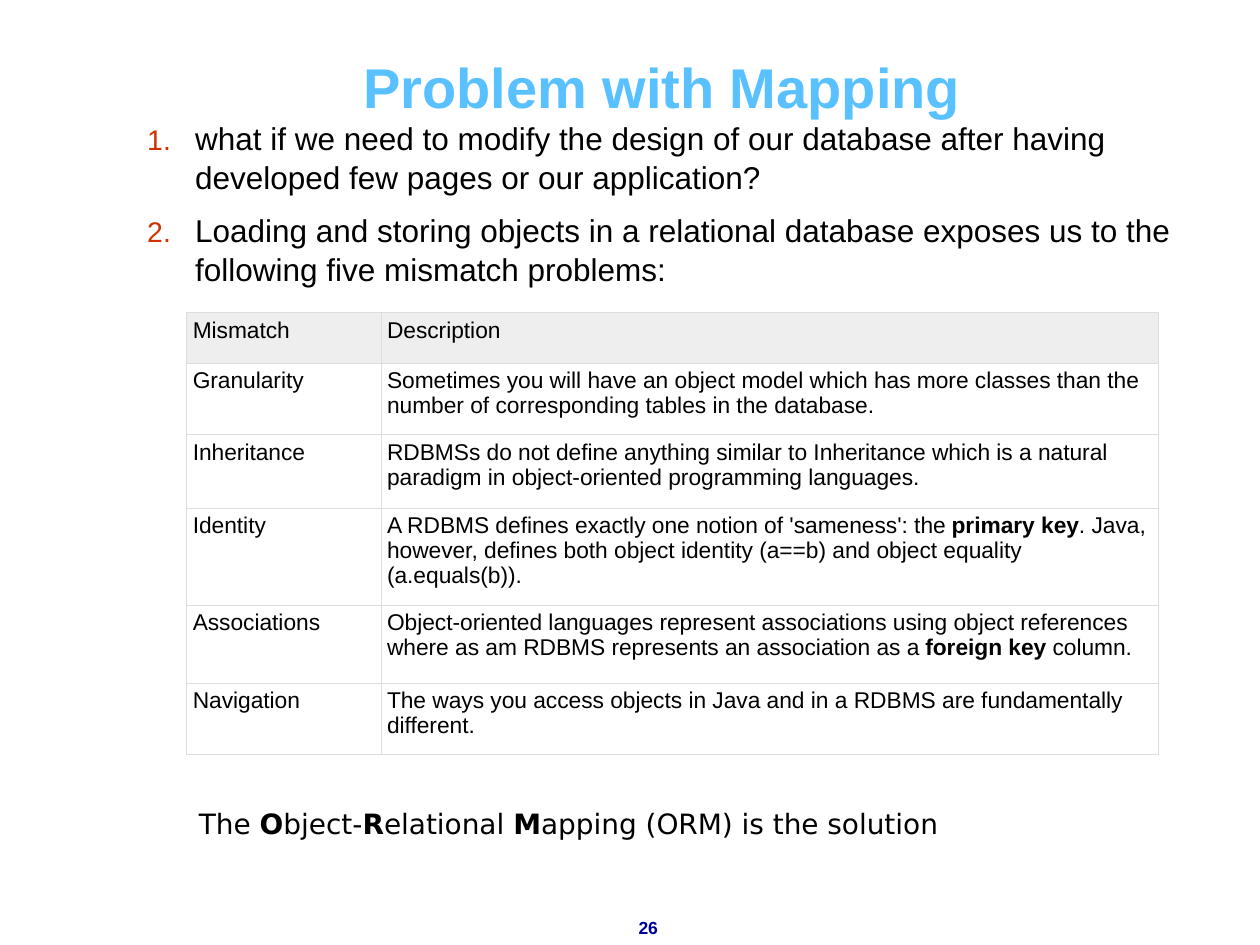
from lxml import etree
from pptx import Presentation
from pptx.dml.color import RGBColor
from pptx.enum.text import MSO_ANCHOR, PP_ALIGN
from pptx.oxml.ns import qn
from pptx.util import Inches, Pt

CENTER, LEFT = PP_ALIGN.CENTER, PP_ALIGN.LEFT
TOP, BOTTOM = MSO_ANCHOR.TOP, MSO_ANCHOR.BOTTOM

TITLE = "Problem with Mapping"
QUESTIONS = [
    "what if we need to modify the design of our database after having developed few pages or our application?",
    "Loading and storing objects in a relational database exposes us to the following five mismatch problems:",
]
MISMATCHES = [
    ("Mismatch", "Description"),
    ("Granularity", "Sometimes you will have an object model which has more classes than the number of corresponding tables in the database."),
    ("Inheritance", "RDBMSs do not define anything similar to Inheritance which is a natural paradigm in object-oriented programming languages."),
    ("Identity", "A RDBMS defines exactly one notion of 'sameness': the **primary key**. Java, however, defines both object identity (a==b) and object equality (a.equals(b))."),
    ("Associations", "Object-oriented languages represent associations using object references where as am RDBMS represents an association as a **foreign key** column."),
    ("Navigation", "The ways you access objects in Java and in a RDBMS are fundamentally different."),
]
SOLUTION = "The **O**bject-**R**elational **M**apping (ORM) is the solution"
PAGE_NUMBER = "26"

COLORS = {
    "title": "59C1FF",
    "text": "000000",
    "number": "CC3300",
    "page": "000099",
    "header": "EEEEEE",
    "border": "DDDDDD",
}
WIDTH, HEIGHT = Inches(10), Inches(7.5)
AREAS = {
    "title": (8.4, 1.73, 88.3, 11.6),
    "questions": (10.7, 11.87, 83.8, 71.47),
    "table": (14.8, 33.07, 77.1, 46.8),
    "solution": (14.8, 84.67, 78.1, 4.93),
    "page": (47.1, 96.4, 8.7, 3.6),
}
COLUMN_SHARES = (20, 80)
ROW_SHARES = (40, 57, 58, 77, 62, 57)


def place(name):
    left, top, width, height = AREAS[name]
    return (int(WIDTH * left / 100), int(HEIGHT * top / 100),
            int(WIDTH * width / 100), int(HEIGHT * height / 100))


def write(paragraph, text, size, color="text", font="Arial", bold=False, align=LEFT):
    paragraph.alignment = align
    for index, part in enumerate(text.split("**")):
        run = paragraph.add_run()
        run.text = part
        run.font.name = font
        run.font.size = Pt(size)
        run.font.bold = bold or index % 2 == 1
        run.font.color.rgb = RGBColor.from_string(COLORS[color])


def add_box(slide, name, anchor=TOP, wrap=True):
    frame = slide.shapes.add_textbox(*place(name)).text_frame
    frame.word_wrap = wrap
    frame.vertical_anchor = anchor
    return frame


def number_paragraph(paragraph):
    properties = paragraph._p.get_or_add_pPr()
    indent = Inches(0.38)
    properties.set("marL", str(indent))
    properties.set("indent", str(-indent))
    bullet_color = etree.SubElement(properties, qn("a:buClr"))
    etree.SubElement(bullet_color, qn("a:srgbClr"), val=COLORS["number"])
    etree.SubElement(properties, qn("a:buSzPct"), val="90000")
    etree.SubElement(properties, qn("a:buFont"), typeface="Arial")
    etree.SubElement(properties, qn("a:buAutoNum"), type="arabicPeriod")


def add_questions(slide):
    frame = add_box(slide, "questions")
    for index, question in enumerate(QUESTIONS):
        paragraph = frame.add_paragraph() if index else frame.paragraphs[0]
        number_paragraph(paragraph)
        paragraph.line_spacing = 1.03
        if index:
            paragraph.space_before = Pt(7.9)
        write(paragraph, question, 18)


def add_borders(cell):
    properties = cell._tc.get_or_add_tcPr()
    for position, side in enumerate(("lnL", "lnR", "lnT", "lnB")):
        line = etree.Element(qn("a:" + side), w=str(Pt(0.28)))
        fill = etree.SubElement(line, qn("a:solidFill"))
        etree.SubElement(fill, qn("a:srgbClr"), val=COLORS["border"])
        properties.insert(position, line)


def fill_cell(cell, text, is_header):
    cell.margin_left = cell.margin_right = Inches(0.05)
    cell.margin_top = cell.margin_bottom = Inches(0.05)
    if is_header:
        cell.fill.solid()
        cell.fill.fore_color.rgb = RGBColor.from_string(COLORS["header"])
    else:
        cell.fill.background()
    add_borders(cell)
    paragraph = cell.text_frame.paragraphs[0]
    paragraph.line_spacing = 0.97
    write(paragraph, text, 13)


def add_mismatches(slide):
    area = place("table")
    table = slide.shapes.add_table(len(MISMATCHES), len(COLUMN_SHARES), *area).table
    table.first_row = table.horz_banding = False
    for column, share in zip(table.columns, COLUMN_SHARES):
        column.width = int(area[2] * share / sum(COLUMN_SHARES))
    for row, share in zip(table.rows, ROW_SHARES):
        row.height = int(area[3] * share / sum(ROW_SHARES))
    for row_index, texts in enumerate(MISMATCHES):
        for column_index, text in enumerate(texts):
            fill_cell(table.cell(row_index, column_index), text, row_index == 0)


def main():
    presentation = Presentation()
    presentation.slide_width, presentation.slide_height = WIDTH, HEIGHT
    slide = presentation.slides.add_slide(presentation.slide_layouts[6])
    page = add_box(slide, "page", wrap=False)
    write(page.paragraphs[0], PAGE_NUMBER, 10, "page", bold=True, align=CENTER)
    title = add_box(slide, "title", BOTTOM)
    write(title.paragraphs[0], TITLE, 32, "title", bold=True, align=CENTER)
    add_questions(slide)
    add_mismatches(slide)
    solution = add_box(slide, "solution")
    write(solution.paragraphs[0], SOLUTION, 16, font="DejaVu Sans")
    presentation.save("out.pptx")


if __name__ == "__main__":
    main()
